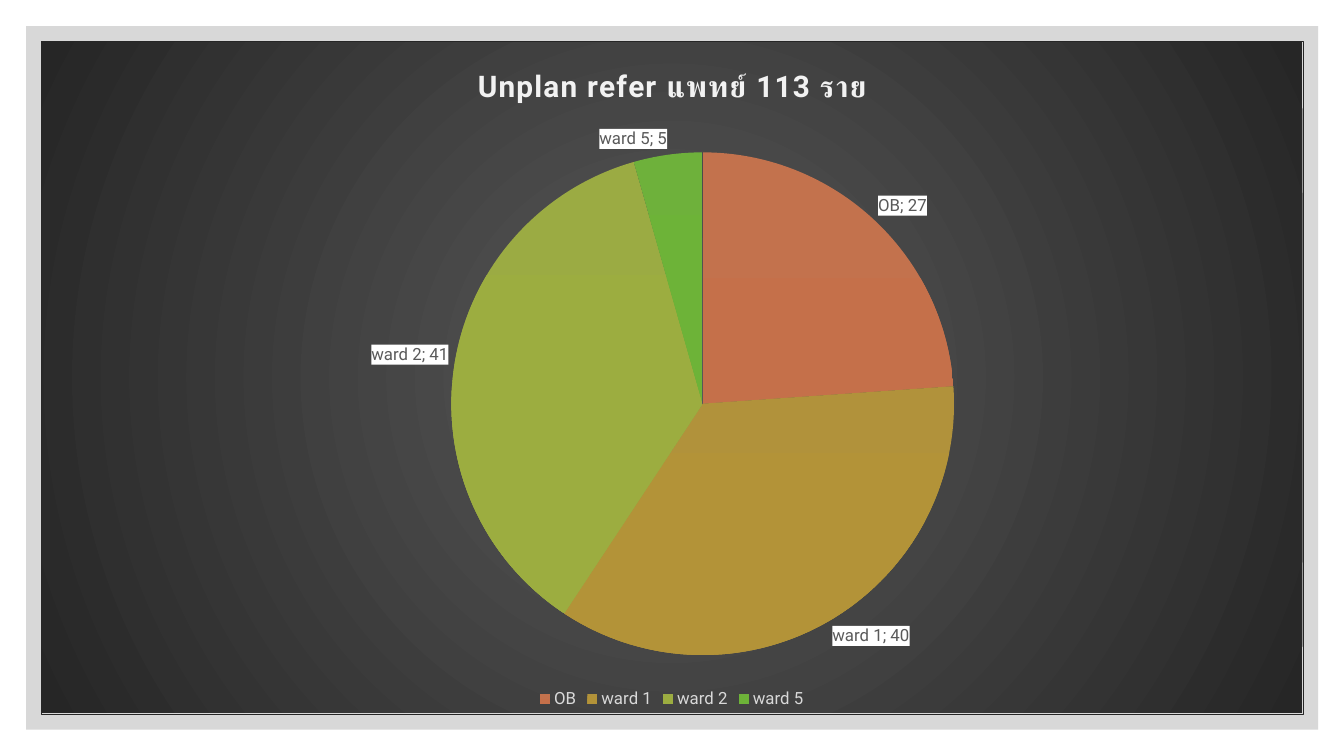
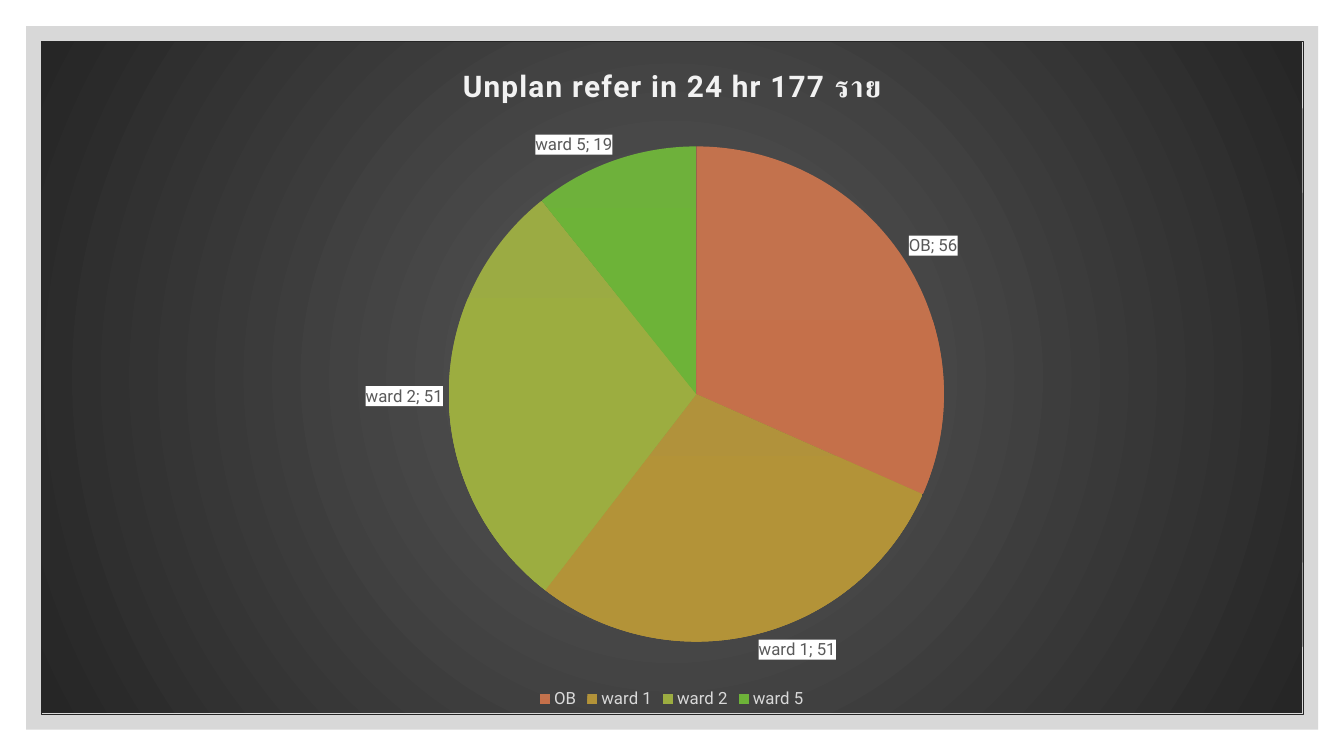
"""Two slides, each with a framed pie chart of unplanned referrals per ward."""
from lxml import etree
from pptx import Presentation
from pptx.chart.data import CategoryChartData
from pptx.dml.color import RGBColor
from pptx.enum.chart import XL_CHART_TYPE, XL_LABEL_POSITION, XL_LEGEND_POSITION
from pptx.enum.shapes import MSO_SHAPE
from pptx.oxml import parse_xml
from pptx.oxml.ns import nsdecls, qn
from pptx.util import Cm, Pt

PIE = XL_CHART_TYPE.PIE
OUTSIDE = XL_LABEL_POSITION.OUTSIDE_END
BOTTOM = XL_LEGEND_POSITION.BOTTOM
RECT = MSO_SHAPE.RECTANGLE

FONT = "Roboto"
COLORS = {
    "band": "BFBFBF",
    "outline": "262626",
    "title": "F2F2F2",
    "legend": "D9D9D9",
    "label": "595959",
    "label_fill": "FFFFFF",
    "text": "000000",
}
BACKDROP = ["595959", "262626"]
SLICES = {
    "OB": ["C3724D", "C5704A", "C47049"],
    "ward 1": ["B1923B", "B39338", "B29238"],
    "ward 2": ["9BAB43", "9CAD40", "9BAC40"],
    "ward 5": ["6EB13B", "6DB338", "6DB238"],
}
CHARTS = [
    ("Unplan refer แพทย์ 113 ราย", [27, 40, 41, 5]),
    ("Unplan refer in 24 hr 177 ราย", [56, 51, 51, 19]),
]
LINEAR = '<a:lin ang="5400000" scaled="0"/>'
CIRCLE = ('<a:path path="circle"><a:fillToRect l="50000" t="50000" '
          'r="50000" b="50000"/></a:path>')


def write(tf, text, size, color, bold=False, spacing=0):
    p = tf.paragraphs[0]
    r = p.add_run()
    r.text = text
    r.font.name = FONT
    r.font.size = Pt(size)
    r.font.bold = bold
    r.font.color.rgb = RGBColor.from_string(COLORS[color])
    r._r.get_or_add_rPr().set("spc", str(spacing))


def fill_props(colors, direction=LINEAR):
    if len(colors) == 1:
        fill = f'<a:solidFill><a:srgbClr val="{colors[0]}"/></a:solidFill>'
    else:
        step = 100000 // (len(colors) - 1)
        stops = "".join(f'<a:gs pos="{i * step}"><a:srgbClr val="{c}"/></a:gs>'
                        for i, c in enumerate(colors))
        fill = f'<a:gradFill rotWithShape="1"><a:gsLst>{stops}</a:gsLst>{direction}</a:gradFill>'
    return parse_xml(f'<c:spPr {nsdecls("c", "a")}>{fill}<a:ln><a:noFill/></a:ln></c:spPr>')


prs = Presentation()
prs.slide_width, prs.slide_height = Cm(33.87), Cm(19.05)

for title, values in CHARTS:
    s = prs.slides.add_slide(prs.slide_layouts[6])

    band = s.shapes.add_shape(RECT, Cm(0.66), Cm(0.66), Cm(32.56), Cm(17.73))
    band.shadow.inherit = False
    band.fill.solid()
    band.fill.fore_color.rgb = RGBColor.from_string(COLORS["band"])
    band.line.fill.background()
    clr = next(band.element.spPr.iter(qn("a:srgbClr")))
    etree.SubElement(clr, qn("a:alpha")).set("val", "60000")

    outline = s.shapes.add_shape(RECT, Cm(1.04), Cm(1.04), Cm(31.8), Cm(16.97))
    outline.shadow.inherit = False
    outline.fill.background()
    outline.line.color.rgb = RGBColor.from_string(COLORS["outline"])
    outline.line.width = Pt(0.5)

    data = CategoryChartData()
    data.categories = list(SLICES)
    data.add_series(title, values)
    chart = s.shapes.add_chart(PIE, Cm(1.04), Cm(1.07), Cm(31.78), Cm(16.89), data).chart
    chart.has_title = True
    write(chart.chart_title.text_frame, title, 21.3, "title", bold=True, spacing=100)
    chart.chart_title.include_in_layout = False
    chart.has_legend = True
    chart.legend.position = BOTTOM
    chart.legend.include_in_layout = False

    plot = chart.plots[0]
    plot.vary_by_categories = True
    series = plot.series[0]
    labels = series.data_labels
    labels.show_value = True
    labels.show_category_name = True
    labels.position = OUTSIDE

    for font, size, color in [(chart.font, 10, "text"), (chart.legend.font, 12, "legend"),
                              (labels.font, 12, "label")]:
        font.name = FONT
        font.size = Pt(size)
        font.color.rgb = RGBColor.from_string(COLORS[color])

    for i, colors in enumerate(SLICES.values()):
        series.points[i].format.fill.solid()
    for dPt, colors in zip(chart.element.iter(qn("c:dPt")), SLICES.values()):
        dPt.replace(dPt.find(qn("c:spPr")), fill_props(colors))

    dLbls = next(chart.element.iter(qn("c:dLbls")))
    dLbls.find(qn("c:txPr")).addprevious(fill_props([COLORS["label_fill"]]))
    separator = etree.Element(qn("c:separator"))
    separator.text = "; "
    dLbls.find(qn("c:showBubbleSize")).addnext(separator)
    chart.element.find(qn("c:chart")).addnext(fill_props(BACKDROP, CIRCLE))

prs.save("out.pptx")
